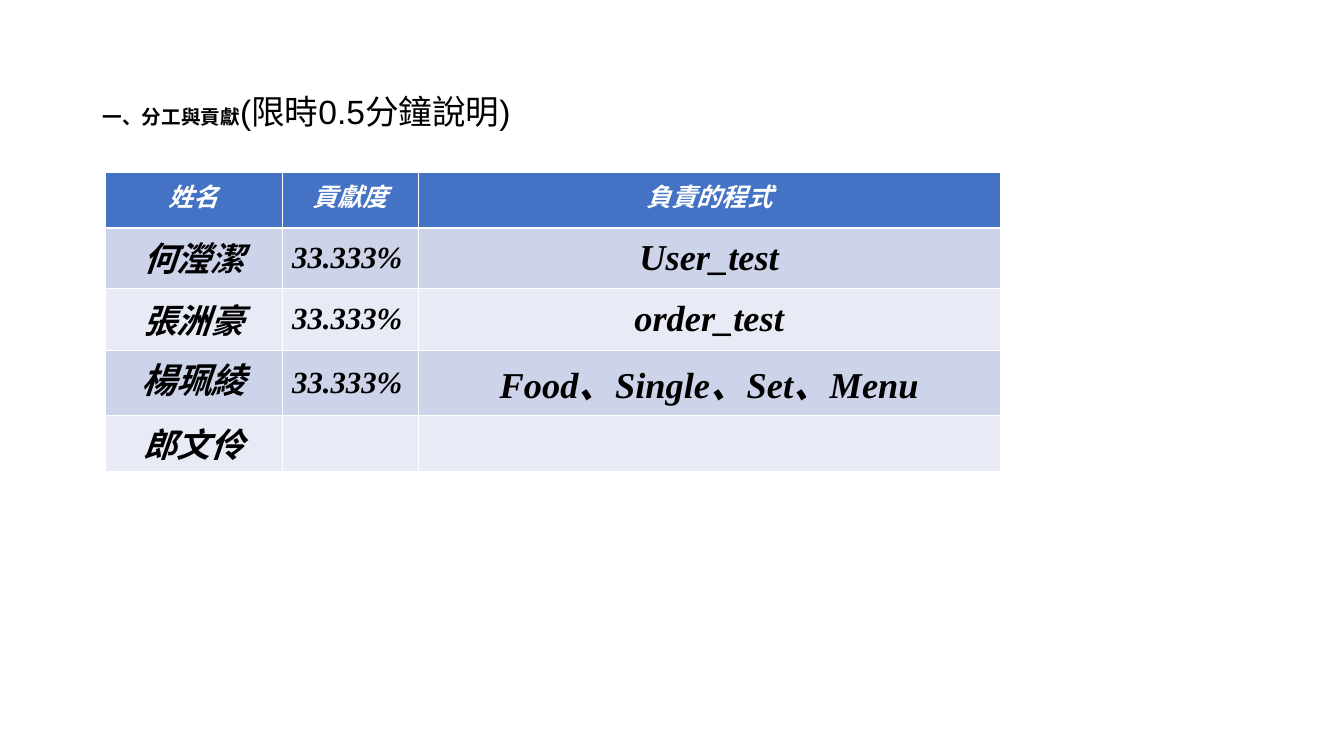
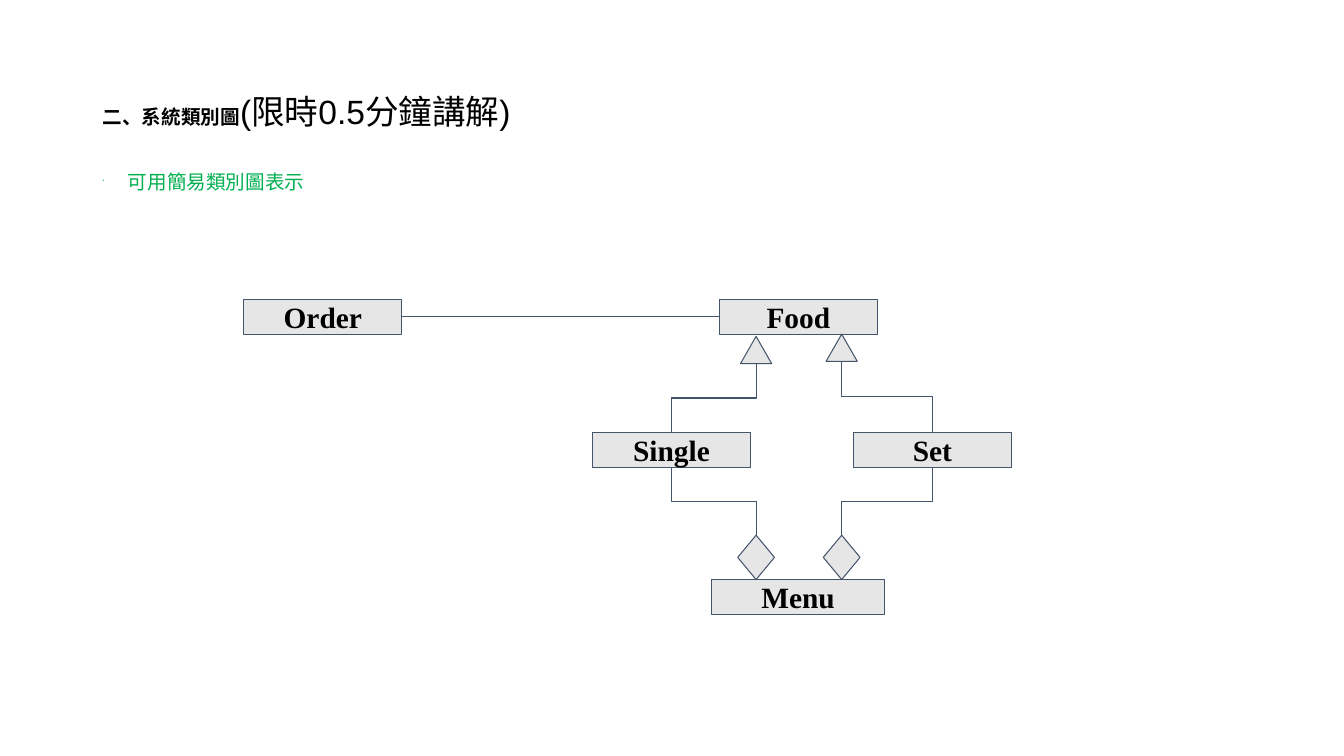
"""Builds two report slides: the division of work and the class diagram."""
from lxml import etree
from pptx import Presentation
from pptx.dml.color import RGBColor
from pptx.enum.shapes import MSO_CONNECTOR, MSO_SHAPE
from pptx.enum.text import MSO_ANCHOR, PP_ALIGN
from pptx.oxml.ns import qn
from pptx.util import Inches, Pt

ELBOW, STRAIGHT = MSO_CONNECTOR.ELBOW, MSO_CONNECTOR.STRAIGHT
RECTANGLE = MSO_SHAPE.RECTANGLE
TRIANGLE = MSO_SHAPE.FLOWCHART_EXTRACT
DIAMOND = MSO_SHAPE.FLOWCHART_DECISION
MIDDLE, TOP = MSO_ANCHOR.MIDDLE, MSO_ANCHOR.TOP
CENTER, LEFT = PP_ALIGN.CENTER, PP_ALIGN.LEFT

BLACK = RGBColor(0x00, 0x00, 0x00)
WHITE = RGBColor(0xFF, 0xFF, 0xFF)
GREEN = RGBColor(0x00, 0xB0, 0x50)
HEADER_BLUE = RGBColor(0x44, 0x72, 0xC4)
BAND_DARK = RGBColor(0xCD, 0xD4, 0xEA)
BAND_LIGHT = RGBColor(0xE8, 0xEB, 0xF5)
BOX_GREY = RGBColor(0xE7, 0xE6, 0xE6)
SLATE = RGBColor(0x44, 0x54, 0x6A)
SANS, SERIF, CHINESE = "Arial", "Times New Roman", "Noto Sans CJK SC"

deck = Presentation()
deck.slide_width, deck.slide_height = Inches(13.34), Inches(7.5)
COLUMN, ROW = deck.slide_width / 100, deck.slide_height / 100


def place(left, top, width, height):
    """Turn percentages of the slide into lengths."""
    return [round(share * unit) for share, unit in
            ((left, COLUMN), (top, ROW), (width, COLUMN), (height, ROW))]


def style(span, size, name, color, bold=False, italic=False):
    """Set the font of one run, for Latin and Chinese letters."""
    font = span.font
    font.size, font.name, font.bold, font.italic = Pt(size), name, bold, italic
    font.color.rgb = color
    etree.SubElement(span._r.get_or_add_rPr(), qn("a:ea"), typeface=CHINESE)


pages = []
for heading, limit in (("一、分工與貢獻", "(限時0.5分鐘說明)"),
                       ("二、系統類別圖", "(限時0.5分鐘講解)")):
    page = deck.slides.add_slide(deck.slide_layouts[6])
    pages.append(page)
    frame = page.shapes.add_textbox(*place(6.9, 5.33, 86.2, 19.33)).text_frame
    frame.word_wrap, frame.vertical_anchor = True, MIDDLE
    para = frame.paragraphs[0]
    para.line_spacing = 0.9
    for text, size, bold in ((heading, 14, True), (limit, 24, False)):
        span = para.add_run()
        span.text = text
        style(span, size, SANS, BLACK, bold)
work_page, diagram_page = pages

work_rows = [
    ("姓名", "貢獻度", "負責的程式"),
    ("何瀅潔", "33.333%", "User_test"),
    ("張洲豪", "33.333%", "order_test"),
    ("楊珮綾", "33.333%", "Food、Single、Set、Menu"),
    ("郎文伶", "", ""),
]
column_shares = [13.19, 10.12, 43.33]
row_shares = [7.33, 8, 8.27, 8.53, 7.47]
body_styles = [(24, CHINESE, CENTER, 0.95), (22, SERIF, LEFT, 1.0), (26, SERIF, CENTER, 1.0)]
table = work_page.shapes.add_table(
    len(work_rows), len(column_shares),
    *place(7.8, 22.8, sum(column_shares), sum(row_shares))).table
for column, share in zip(table.columns, column_shares):
    column.width = round(share * COLUMN)
for row, share in zip(table.rows, row_shares):
    row.height = round(share * ROW)

for row_index, texts in enumerate(work_rows):
    is_header = row_index == 0
    for column_index, text in enumerate(texts):
        cell = table.cell(row_index, column_index)
        properties = cell._tc.get_or_add_tcPr()
        for side in "LRTB":
            thick = (row_index, side) in ((0, "B"), (1, "T"))
            border = etree.SubElement(properties, qn("a:ln" + side),
                                      w=str(Pt(1.47 if thick else 0.45)))
            fill = etree.SubElement(border, qn("a:solidFill"))
            etree.SubElement(fill, qn("a:srgbClr"), val=str(WHITE))
        cell.fill.solid()
        band = BAND_DARK if row_index % 2 else BAND_LIGHT
        cell.fill.fore_color.rgb = HEADER_BLUE if is_header else band
        cell.vertical_anchor = TOP if is_header else MIDDLE
        size, name, align, spacing = body_styles[column_index]
        if is_header:
            size, name, align, spacing = 18, SANS, CENTER, 1.0
        elif text == "楊珮綾":
            size, spacing = 25, 0.7
        para = cell.text_frame.paragraphs[0]
        para.text = text
        para.alignment, para.line_spacing = align, spacing
        for span in para.runs:
            style(span, size, name, WHITE if is_header else BLACK, True, True)

frame = diagram_page.shapes.add_textbox(*place(6.9, 22.13, 29.76, 7.6)).text_frame
frame.word_wrap = True
para = frame.paragraphs[0]
para.text = "可用簡易類別圖表示"
properties = para._p.get_or_add_pPr()
properties.set("marL", str(Inches(0.25)))
properties.set("indent", str(-Inches(0.25)))
bullet_color = etree.SubElement(properties, qn("a:buClr"))
etree.SubElement(bullet_color, qn("a:srgbClr"), val=str(GREEN))
etree.SubElement(properties, qn("a:buSzPct"), val="25000")
etree.SubElement(properties, qn("a:buChar"), char="•")
para.line_spacing = 0.9
style(para.runs[0], 14, SANS, GREEN)

BOX_WIDTH, BOX_HEIGHT = 11.76, 4.6
FOOD_TOP, MIDDLE_TOP, MENU_TOP = 39.6, 57.2, 76.67
SINGLE_LEFT, SET_LEFT = 44.08, 63.49
LEFT_LANE, RIGHT_LANE = 56.26, 62.63
TRIANGLE_WIDTH, TRIANGLE_HEIGHT = 2.32, 3.6
DIAMOND_WIDTH, DIAMOND_HEIGHT = 2.74, 5.87
LEFT_TRIANGLE_TOP, RIGHT_TRIANGLE_TOP = 44.5, 44.2
diamond_top = MENU_TOP - DIAMOND_HEIGHT

diagram_shapes = [
    (RECTANGLE, "Order", 18.14, FOOD_TOP, BOX_WIDTH, BOX_HEIGHT),
    (RECTANGLE, "Food", 53.52, FOOD_TOP, BOX_WIDTH, BOX_HEIGHT),
    (RECTANGLE, "Single", SINGLE_LEFT, MIDDLE_TOP, BOX_WIDTH, BOX_HEIGHT),
    (RECTANGLE, "Set", SET_LEFT, MIDDLE_TOP, BOX_WIDTH, BOX_HEIGHT),
    (RECTANGLE, "Menu", 52.92, MENU_TOP, 12.93, BOX_HEIGHT),
]
for lane, triangle_top in ((LEFT_LANE, LEFT_TRIANGLE_TOP), (RIGHT_LANE, RIGHT_TRIANGLE_TOP)):
    diagram_shapes += [
        (TRIANGLE, "", lane - TRIANGLE_WIDTH / 2, triangle_top, TRIANGLE_WIDTH, TRIANGLE_HEIGHT),
        (DIAMOND, "", lane - DIAMOND_WIDTH / 2, diamond_top, DIAMOND_WIDTH, DIAMOND_HEIGHT),
    ]

class_boxes = {}
for kind, label, *area in diagram_shapes:
    box = diagram_page.shapes.add_shape(kind, *place(*area))
    box.shadow.inherit = False
    box.fill.solid()
    box.fill.fore_color.rgb = BOX_GREY
    box.line.color.rgb, box.line.width = SLATE, Pt(0.75)
    if label:
        class_boxes[label] = box
        frame = box.text_frame
        frame.margin_left = frame.margin_right = Inches(0.1)
        frame.margin_top = frame.margin_bottom = Inches(0.1)
        frame.vertical_anchor = MIDDLE
        para = frame.paragraphs[0]
        para.text, para.alignment = label, CENTER
        style(para.runs[0], 21, SERIF, BLACK, True)

association = diagram_page.shapes.add_connector(STRAIGHT, 0, 0, 0, 0)
association.begin_connect(class_boxes["Order"], 3)
association.end_connect(class_boxes["Food"], 1)
connectors = [association]

single_center, set_center = SINGLE_LEFT + BOX_WIDTH / 2, SET_LEFT + BOX_WIDTH / 2
middle_bottom = MIDDLE_TOP + BOX_HEIGHT
for upper_x, upper_y, lower_x, lower_y in (
        (LEFT_LANE, LEFT_TRIANGLE_TOP + TRIANGLE_HEIGHT, single_center, MIDDLE_TOP),
        (RIGHT_LANE, RIGHT_TRIANGLE_TOP + TRIANGLE_HEIGHT, set_center, MIDDLE_TOP),
        (single_center, middle_bottom, LEFT_LANE, diamond_top),
        (set_center, middle_bottom, RIGHT_LANE, diamond_top)):
    left, top, across, down = place(upper_x, upper_y, lower_x - upper_x, lower_y - upper_y)
    center_x, center_y = left + across // 2, top + down // 2
    start, end = center_x - down // 2, center_x + down // 2
    goes_right = across > 0
    if goes_right:
        start, end = end, start
    elbow = diagram_page.shapes.add_connector(
        ELBOW, start, center_y - abs(across) // 2, end, center_y + abs(across) // 2)
    elbow._element.spPr.find(qn("a:xfrm")).set("rot", "16200000" if goes_right else "5400000")
    connectors.append(elbow)

for connector in connectors:
    connector.line.color.rgb, connector.line.width = SLATE, Pt(0.75)
    etree.SubElement(connector._element.spPr, qn("a:effectLst"))

deck.save("out.pptx")
